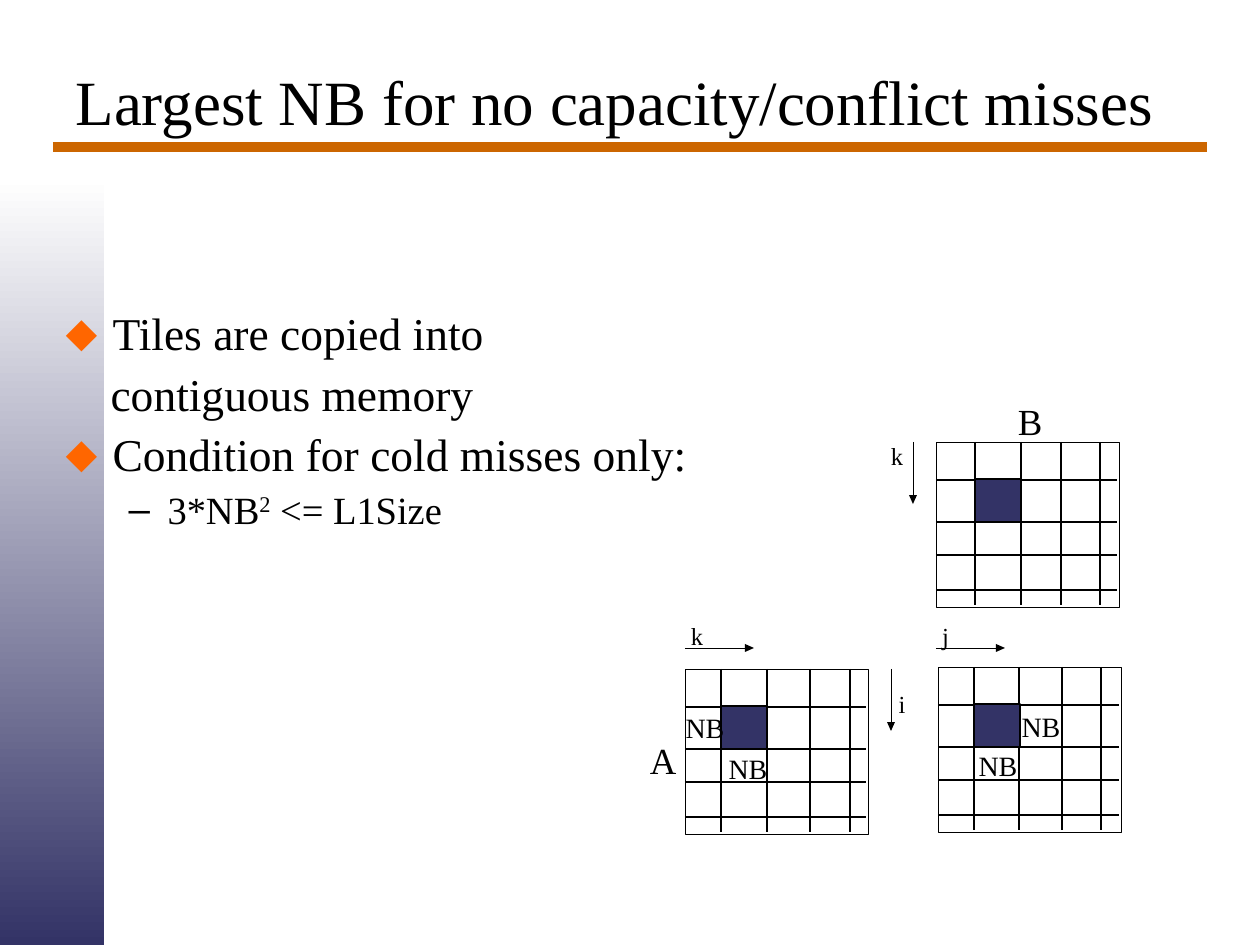
from lxml import etree
from pptx import Presentation
from pptx.dml.color import RGBColor
from pptx.enum.shapes import MSO_CONNECTOR, MSO_SHAPE
from pptx.enum.text import MSO_ANCHOR, MSO_AUTO_SIZE, PP_ALIGN
from pptx.oxml.ns import qn
from pptx.util import Emu, Pt

PX = 914400 / 126
RECTANGLE = MSO_SHAPE.RECTANGLE
STRAIGHT = MSO_CONNECTOR.STRAIGHT
MIDDLE, TOP = MSO_ANCHOR.MIDDLE, MSO_ANCHOR.TOP
LEFT, CENTER = PP_ALIGN.LEFT, PP_ALIGN.CENTER
NO_AUTOFIT = MSO_AUTO_SIZE.NONE
BLACK, NAVY, ORANGE, RULE = "000000", "333366", "FF6600", "CC6600"
color = RGBColor.from_string


def write(paragraph, text, size, align=LEFT, before=0, raised=False):
    paragraph.alignment = align
    paragraph.space_before = Pt(before)
    run = paragraph.add_run()
    run.text = text
    run.font.name = "Times New Roman"
    run.font.size = Pt(size)
    run.font.color.rgb = color(BLACK)
    if raised:
        run.font._element.set("baseline", "30000")


def draw_line(x1, y1, x2, y2, width, stroke=BLACK):
    ends = [Emu(round(v * PX)) for v in (x1, y1, x2, y2)]
    line = slide.shapes.add_connector(STRAIGHT, *ends)
    line.line.color.rgb = color(stroke)
    line.line.width = Pt(width)
    etree.SubElement(line._element.spPr, qn("a:effectLst"))


deck = Presentation()
deck.slide_width, deck.slide_height = Emu(round(1260 * PX)), Emu(round(945 * PX))
slide = deck.slides.add_slide(deck.slide_layouts[1])

band = slide.shapes.add_shape(RECTANGLE, 0, *[Emu(round(v * PX)) for v in (178, 104, 767)])
band.shadow.inherit = False
band.line.fill.background()
band.fill.gradient()
band.fill.gradient_angle = 270
for stop, position, shade in zip(band.fill.gradient_stops, (0, 1), ("FFFFFF", NAVY)):
    stop.position = position
    stop.color.rgb = color(shade)
slide.shapes._spTree.insert(2, band._element)
draw_line(53, 147, 1207, 147, 6, RULE)

title, body = slide.shapes.title, slide.placeholders[1]
for holder, box, anchor in ((title, (63, 21, 1144, 158), MIDDLE), (body, (53, 305, 1071, 273), TOP)):
    holder.left, holder.top, holder.width, holder.height = [Emu(round(v * PX)) for v in box]
    holder.text_frame.word_wrap = True
    holder.text_frame.auto_size = NO_AUTOFIT
    holder.text_frame.vertical_anchor = anchor
write(title.text_frame.paragraphs[0], "Largest NB for no capacity/conflict misses", 36)

points = [
    (["Tiles are copied into"], 0, 26, 47, -47, "⬥", ORANGE),
    (["contiguous memory"], 0, 26, 45, 0, None, None),
    (["Condition for cold misses only:"], 0, 26, 47, -47, "⬥", ORANGE),
    (["3*NB", "2", " <= L1Size"], 1, 22, 102, -39, "–", BLACK),
]
for index, (parts, level, size, margin, indent, bullet, bullet_color) in enumerate(points):
    point = body.text_frame.add_paragraph() if index else body.text_frame.paragraphs[0]
    point.level = level
    point.line_spacing = 0.9
    for part in parts:
        write(point, part, size, before=size / 4, raised=part == "2")
    properties = point._p.get_or_add_pPr()
    properties.set("marL", str(round(margin * PX)))
    properties.set("indent", str(round(indent * PX)))
    if bullet:
        tint = etree.SubElement(properties, qn("a:buClr"))
        etree.SubElement(tint, qn("a:srgbClr"), val=bullet_color)
        etree.SubElement(properties, qn("a:buChar"), char=bullet)
    else:
        etree.SubElement(properties, qn("a:buNone"))

rows = (38, 80, 113, 148)
matrices = [
    (936, 442, (39, 85, 125, 164)),
    (685, 669, (36, 82, 125, 165)),
    (938, 667, (36, 81, 124, 163)),
]
for left, top, columns in matrices:
    frame = slide.shapes.add_shape(RECTANGLE, *[Emu(round(v * PX)) for v in (left, top, 183, 165)])
    frame.shadow.inherit = False
    frame.fill.background()
    frame.line.color.rgb = color(BLACK)
    frame.line.width = Pt(0.25)
    for x in columns:
        draw_line(left + x, top, left + x, top + 163, 0.75)
    for y in rows:
        draw_line(left, top + y, left + 181, top + y, 0.75)
    tile_box = (left + columns[0], top + 37, 46, 43)
    tile = slide.shapes.add_shape(RECTANGLE, *[Emu(round(v * PX)) for v in tile_box])
    tile.shadow.inherit = False
    tile.fill.solid()
    tile.fill.fore_color.rgb = color(NAVY)
    tile.line.color.rgb = color(BLACK)
    tile.line.width = Pt(0.75)

arrows = [(913, 442, 0, 1, 62), (891, 669, 0, 1, 62), (685, 648, 1, 0, 69), (936, 648, 1, 0, 69)]
for x, y, dx, dy, length in arrows:
    tip_x, tip_y = x + dx * length, y + dy * length
    base_x, base_y = tip_x - 9 * dx, tip_y - 9 * dy
    draw_line(x, y, base_x, base_y, 0.25)
    outline = slide.shapes.build_freeform(tip_x, tip_y, scale=PX)
    outline.add_line_segments([(base_x + 4 * dy, base_y + 4 * dx), (base_x - 4 * dy, base_y - 4 * dx)])
    head = outline.convert_to_shape()
    head.shadow.inherit = False
    head.fill.solid()
    head.fill.fore_color.rgb = color(BLACK)
    head.line.fill.background()

labels = [
    ("A", 650, 738, 26, 44, 21, LEFT),
    ("B", 1018, 399, 25, 44, 21, LEFT),
    ("k", 691, 621, 13, 29, 14, LEFT),
    ("j", 942, 621, 8, 29, 14, LEFT),
    ("k", 891, 441, 13, 29, 14, LEFT),
    ("i", 886, 682, 32, 43, 14, CENTER),
    ("NB", 716, 745, 64, 47, 16, CENTER),
    ("NB", 673, 704, 64, 47, 16, CENTER),
    ("NB", 966, 742, 64, 47, 16, CENTER),
    ("NB", 1009, 703, 64, 47, 16, CENTER),
]
for text, left, top, width, height, size, align in labels:
    label = slide.shapes.add_textbox(*[Emu(round(v * PX)) for v in (left, top, width, height)])
    label_text = label.text_frame
    label_text.margin_left = label_text.margin_right = 0
    label_text.margin_top = label_text.margin_bottom = 0
    label_text.word_wrap = False
    label_text.vertical_anchor = MIDDLE
    write(label_text.paragraphs[0], text, size, align=align, before=size / 4)

deck.save("out.pptx")
